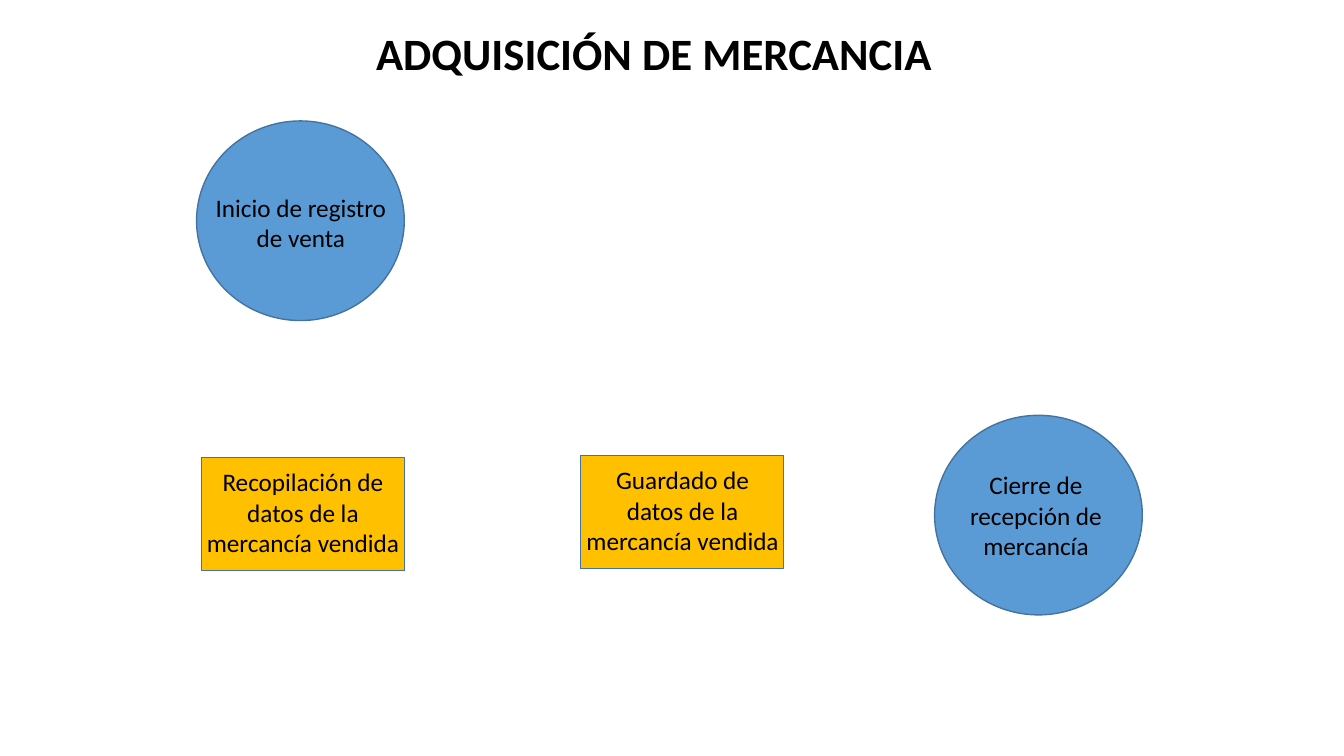
from dataclasses import dataclass

from pptx import Presentation
from pptx.dml.color import RGBColor
from pptx.enum.shapes import MSO_SHAPE as Shape
from pptx.enum.text import MSO_ANCHOR as Anchor, MSO_AUTO_SIZE as AutoSize, PP_ALIGN as Align
from pptx.util import Inches, Pt


@dataclass(frozen=True)
class Theme:
    font: str = "Calibri"
    text: RGBColor = RGBColor(0x00, 0x00, 0x00)
    event: RGBColor = RGBColor(0x5B, 0x9B, 0xD5)
    task: RGBColor = RGBColor(0xFF, 0xC0, 0x00)
    outline: RGBColor = RGBColor(0x43, 0x73, 0x9E)
    title_size: int = 32
    label_size: int = 18


THEME = Theme()
EVENT_SIZE = (2.06, 1.98)
TASK_SIZE = (2.01, 1.12)


def write(box, text, size=THEME.label_size, bold=False, align=Align.CENTER, wrap=True):
    """Fill a box with text, one paragraph per line."""
    frame = box.text_frame
    frame.text = text
    frame.word_wrap = wrap
    frame.auto_size = AutoSize.SHAPE_TO_FIT_TEXT
    frame.vertical_anchor = Anchor.TOP
    for para in frame.paragraphs:
        para.alignment = align
        for span in para.runs:
            span.font.name = THEME.font
            span.font.size = Pt(size)
            span.font.bold = bold
            span.font.color.rgb = THEME.text


def add_title(page, text, left, top, width, height):
    title = page.shapes.title
    title.left, title.top = Inches(left), Inches(top)
    title.width, title.height = Inches(width), Inches(height)
    write(title, text, size=THEME.title_size, bold=True, align=Align.LEFT, wrap=False)


def add_step(page, kind, fill, place, size, text, label_area):
    """Draw a flow step and lay its label over it."""
    step = page.shapes.add_shape(kind, *map(Inches, place + size))
    step.shadow.inherit = False
    step.fill.solid()
    step.fill.fore_color.rgb = fill
    step.line.color.rgb = THEME.outline
    step.line.width = Pt(1)
    write(page.shapes.add_textbox(*map(Inches, label_area)), text)


def add_event(page, place, text, label_area):
    add_step(page, Shape.OVAL, THEME.event, place, EVENT_SIZE, text, label_area)


def add_task(page, place, text, label_area):
    add_step(page, Shape.RECTANGLE, THEME.task, place, TASK_SIZE, text, label_area)


def main():
    deck = Presentation()
    deck.slide_width, deck.slide_height = Inches(13.33), Inches(7.5)
    page = deck.slides.add_slide(deck.slide_layouts.get_by_name("Title Only"))

    add_title(page, "ADQUISICIÓN DE MERCANCIA", 3.63, 0.21, 5.77, 0.64)
    add_event(page, (1.95, 1.2), "Inicio de registro de venta", (1.98, 1.86, 2.01, 0.71))
    add_task(page, (2, 4.54), "Recopilación de datos de la mercancía vendida",
             (1.87, 4.58, 2.27, 1.01))
    add_task(page, (5.76, 4.52), "Guardado de datos de la mercancía vendida",
             (5.71, 4.56, 2.12, 1.01))
    add_event(page, (9.27, 4.12), "Cierre de recepción de\nmercancía",
              (9.27, 4.61, 2.01, 1.01))

    deck.save("out.pptx")


if __name__ == "__main__":
    main()
